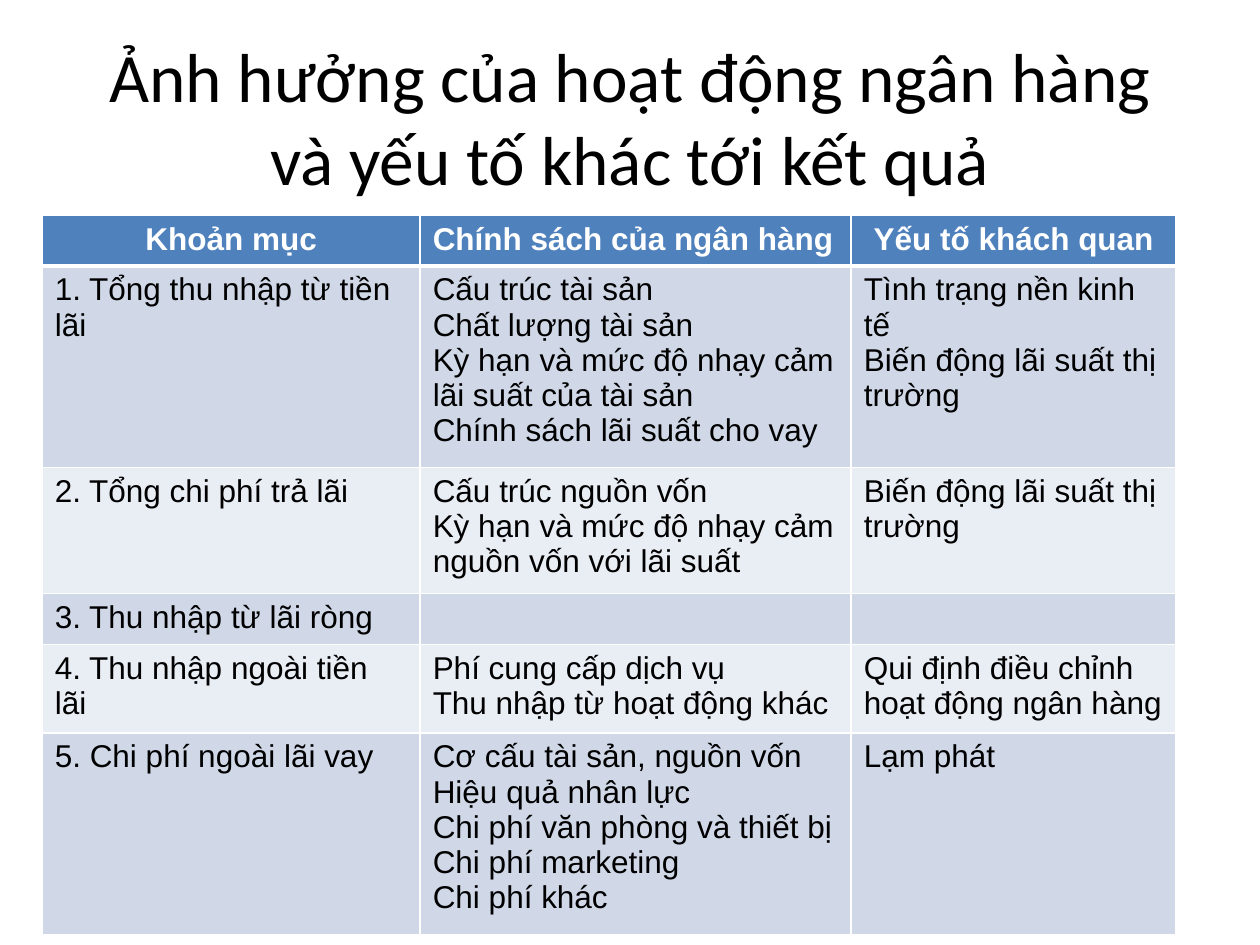
from lxml.etree import SubElement
from pptx import Presentation
from pptx.dml.color import RGBColor
from pptx.enum.text import MSO_ANCHOR as Anchor, PP_ALIGN as Align
from pptx.oxml.ns import qn
from pptx.util import Cm, Pt

TITLE = "Ảnh hưởng của hoạt động ngân hàng và yếu tố khác tới kết quả"
HEADS = ["Khoản mục", "Chính sách của ngân hàng", "Yếu tố khách quan"]
ITEMS = [
    ["1. Tổng thu nhập từ tiền lãi",
     "Cấu trúc tài sản\nChất lượng tài sản\n"
     "Kỳ hạn và mức độ nhạy cảm lãi suất của tài sản\n"
     "Chính sách lãi suất cho vay",
     "Tình trạng nền kinh tế\nBiến động lãi suất thị trường"],
    ["2. Tổng chi phí trả lãi",
     "Cấu trúc nguồn vốn\nKỳ hạn và mức độ nhạy cảm nguồn vốn với lãi suất",
     "Biến động lãi suất thị trường"],
    ["3. Thu nhập từ lãi ròng", "", ""],
    ["4. Thu nhập ngoài tiền lãi",
     "Phí cung cấp dịch vụ\nThu nhập từ hoạt động khác",
     "Qui định điều chỉnh hoạt động ngân hàng"],
    ["5. Chi phí ngoài lãi vay",
     "Cơ cấu tài sản, nguồn vốn\nHiệu quả nhân lực\n"
     "Chi phí văn phòng và thiết bị\nChi phí marketing\nChi phí khác",
     "Lạm phát"],
]
WIDTHS = [7.62, 8.69, 6.55]
HEIGHTS = [1.02, 3.81, 2.44, 1.03, 1.67, 3.78]
BANDS = ["D0D8E8", "E9EDF4"]

HEAD_FONT = {"name": "Arial", "size": Pt(18), "bold": True}
BODY_FONT = {"name": "Arial", "size": Pt(18), "bold": False}
TITLE_FONT = {"name": "Calibri", "size": Pt(39.6)}


def color(code):
    return RGBColor.from_string(code)


def write(frame, text, font, ink, align):
    frame.text = text
    for para in frame.paragraphs:
        para.alignment = align
        for key, value in font.items():
            setattr(para.font, key, value)
        para.font.color.rgb = color(ink)


def edge(cell, top, base):
    """Draw white cell borders; top and base are widths in points."""
    props = cell._tc.get_or_add_tcPr()
    sides = {"lnL": 1, "lnR": 1, "lnT": top, "lnB": base}
    for side, width in sides.items():
        line = SubElement(props, qn(f"a:{side}"), w=str(Pt(width)))
        fill = SubElement(line, qn("a:solidFill"))
        SubElement(fill, qn("a:srgbClr"), val="FFFFFF")


def paint(cell, code):
    cell.fill.solid()
    cell.fill.fore_color.rgb = color(code)


def add_title(slide):
    box = slide.shapes.add_textbox(Cm(1.27), Cm(0.76), Cm(22.86), Cm(3.18))
    frame = box.text_frame
    frame.word_wrap = True
    frame.vertical_anchor = Anchor.MIDDLE
    write(frame, TITLE, TITLE_FONT, "000000", Align.CENTER)


def add_grid(slide):
    rows = [HEADS] + ITEMS
    grid = slide.shapes.add_table(
        len(rows), len(HEADS), Cm(0.85), Cm(4.34),
        Cm(sum(WIDTHS)), Cm(sum(HEIGHTS))).table
    for col, width in zip(grid.columns, WIDTHS):
        col.width = Cm(width)
    for i, (row, high, texts) in enumerate(zip(grid.rows, HEIGHTS, rows)):
        row.height = Cm(high)
        for j, (cell, text) in enumerate(zip(row.cells, texts)):
            edge(cell, 3 if i == 1 else 1, 3 if i == 0 else 1)
            if i == 0:
                paint(cell, "4F81BD")
                align = Align.LEFT if j == 1 else Align.CENTER
                write(cell.text_frame, text, HEAD_FONT, "FFFFFF", align)
            else:
                paint(cell, BANDS[(i - 1) % 2])
                write(cell.text_frame, text, BODY_FONT, "000000", Align.LEFT)


def main():
    deck = Presentation()
    deck.slide_width, deck.slide_height = Cm(25.4), Cm(19.05)
    slide = deck.slides.add_slide(deck.slide_layouts[6])
    add_title(slide)
    add_grid(slide)
    deck.save("out.pptx")


if __name__ == "__main__":
    main()
